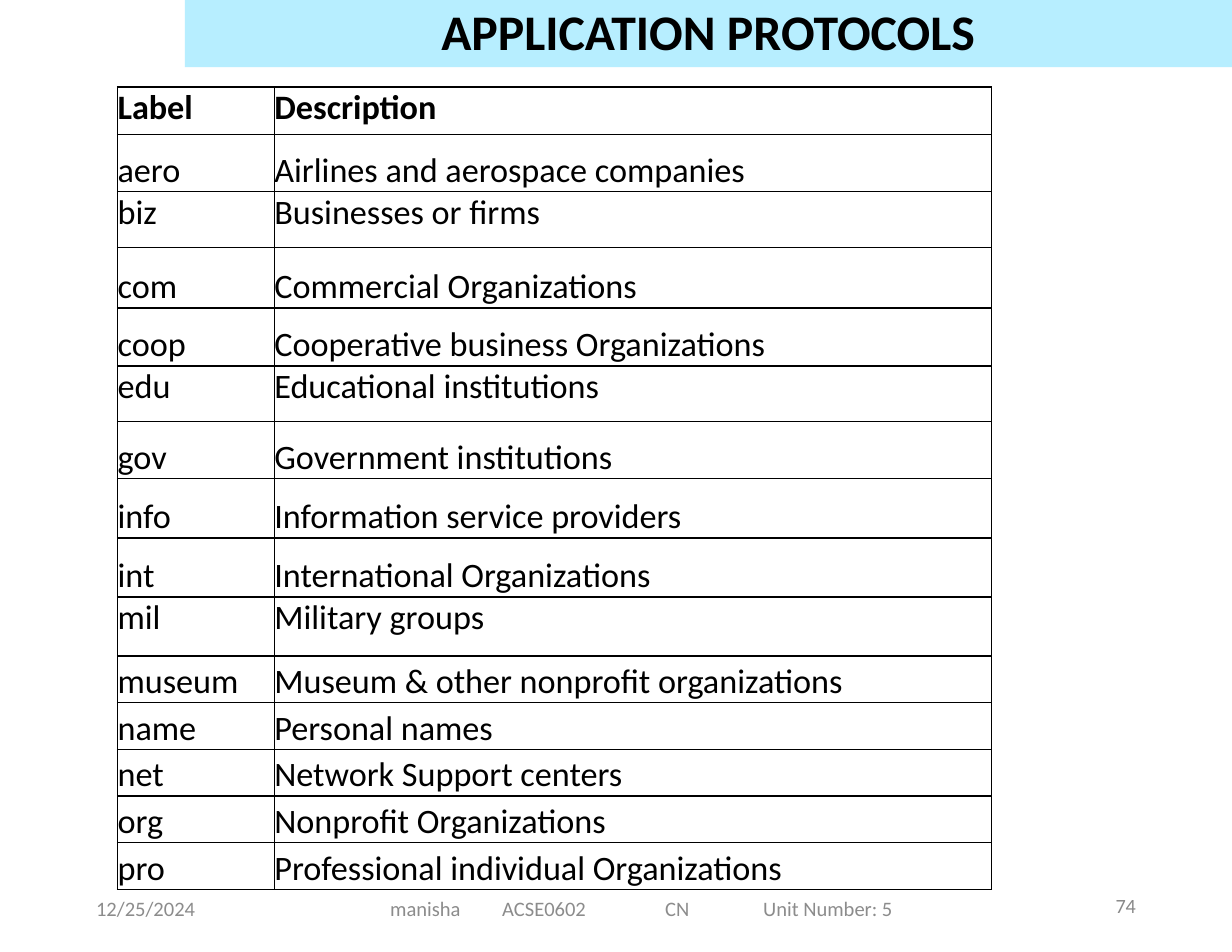
from dataclasses import dataclass

from lxml.etree import SubElement
from pptx import Presentation
from pptx.dml.color import RGBColor as RGB
from pptx.enum.text import MSO_ANCHOR as Anchor, PP_ALIGN as Align
from pptx.oxml import parse_xml
from pptx.oxml.ns import nsdecls, qn
from pptx.util import Pt


@dataclass(frozen=True)
class Theme:
    font: str = "Calibri"
    ink: str = "000000"
    band: str = "B7EEFF"
    muted: str = "8C8C8C"
    number: str = "898989"
    title_size: float = 32
    table_size: float = 22
    footer_size: float = 13.2
    number_size: float = 13
    border: float = 1


class Deck:
    def __init__(self, prs, theme):
        self.theme = theme
        self.slide = prs.slides.add_slide(prs.slide_layouts[5])

    def style(self, p, size, color, bold=False, align=Align.LEFT):
        p.alignment = align
        for r in p.runs:
            r.font.name, r.font.size, r.font.bold = self.theme.font, Pt(size), bold
            r.font.color.rgb = RGB.from_string(color)

    def title(self, text, left, top, width, height):
        sp = self.slide.shapes.title
        sp.left, sp.top, sp.width, sp.height = map(Pt, (left, top, width, height))
        sp.fill.solid()
        sp.fill.fore_color.rgb = RGB.from_string(self.theme.band)
        tf = sp.text_frame
        tf.text = text
        tf.vertical_anchor = Anchor.BOTTOM
        p = tf.paragraphs[0]
        p.line_spacing = 0.9
        self.style(p, self.theme.title_size, self.theme.ink, True, Align.CENTER)

    def text(self, text, box, size, color, align=Align.LEFT, inset=7.2, tabs=()):
        tf = self.slide.shapes.add_textbox(*map(Pt, box)).text_frame
        tf.word_wrap = True
        tf.vertical_anchor = Anchor.MIDDLE
        tf.margin_left = Pt(inset)
        tf.text = text
        p = tf.paragraphs[0]
        if tabs:
            stops = SubElement(p._p.get_or_add_pPr(), qn("a:tabLst"))
            for pos in tabs:
                SubElement(stops, qn("a:tab"), pos=str(Pt(pos)), algn="l")
        self.style(p, size, color, align=align)

    def borders(self, cell):
        """Rule all four sides; border elements must precede the cell fill."""
        for i, side in enumerate(("lnL", "lnR", "lnT", "lnB")):
            cell._tc.get_or_add_tcPr().insert(i, parse_xml(
                f'<a:{side} {nsdecls("a")} w="{Pt(self.theme.border)}"><a:solidFill>'
                f'<a:srgbClr val="{self.theme.ink}"/></a:solidFill></a:{side}>'))

    def table(self, rows, left, top, widths, heights, top_rows):
        """Draw rows whose text sits at the bottom, except those in top_rows."""
        box = map(Pt, (left, top, sum(widths), sum(heights)))
        tbl = self.slide.shapes.add_table(len(rows), len(widths), *box).table
        tbl.first_row = tbl.horz_banding = False
        for col, width in zip(tbl.columns, widths):
            col.width = Pt(width)
        for i, (row, height, values) in enumerate(zip(tbl.rows, heights, rows)):
            row.height = Pt(height)
            for cell, value in zip(row.cells, values):
                cell.text = value
                cell.margin_left = cell.margin_right = 0
                cell.margin_top = cell.margin_bottom = 0
                cell.vertical_anchor = Anchor.TOP if values[0] in top_rows else Anchor.BOTTOM
                cell.fill.background()
                self.borders(cell)
                self.style(cell.text_frame.paragraphs[0], self.theme.table_size,
                           self.theme.ink, bold=i == 0)


DOMAINS = [
    ("Label", "Description"),
    ("aero", "Airlines and aerospace companies"),
    ("biz", "Businesses or firms"),
    ("com", "Commercial Organizations"),
    ("coop", "Cooperative business Organizations"),
    ("edu", "Educational institutions"),
    ("gov", "Government institutions"),
    ("info", "Information service providers"),
    ("int", "International Organizations"),
    ("mil", "Military groups"),
    ("museum", "Museum & other nonprofit organizations"),
    ("name", "Personal names"),
    ("net", "Network Support centers"),
    ("org", "Nonprofit Organizations"),
    ("pro", "Professional individual Organizations"),
]
HEIGHTS = [30.6, 36.7, 35.8, 38.9, 37.4, 35.8, 36.7] + [38] * 3 + [30] * 5


def main():
    prs = Presentation()
    prs.slide_width, prs.slide_height = Pt(792), Pt(612)
    theme = Theme()
    deck = Deck(prs, theme)
    deck.title("APPLICATION PROTOCOLS", 118.8, 0, 673.2, 43.2)
    deck.table(DOMAINS, 75.6, 56, [100.8, 460.8], HEIGHTS,
               {"Label", "biz", "edu", "mil"})
    deck.text("12/25/2024", (54.7, 567.4, 89.3, 32.4), theme.footer_size, theme.muted)
    deck.text("74", (688.3, 566, 49, 32.4), theme.number_size, theme.number, Align.RIGHT)
    deck.text("manisha\tACSE0602\tCN\tUnit Number: 5", (194.4, 568, 435.6, 31.7),
              theme.footer_size, theme.muted, inset=56.4, tabs=(72, 176.8, 239.8))
    prs.save("out.pptx")


if __name__ == "__main__":
    main()
